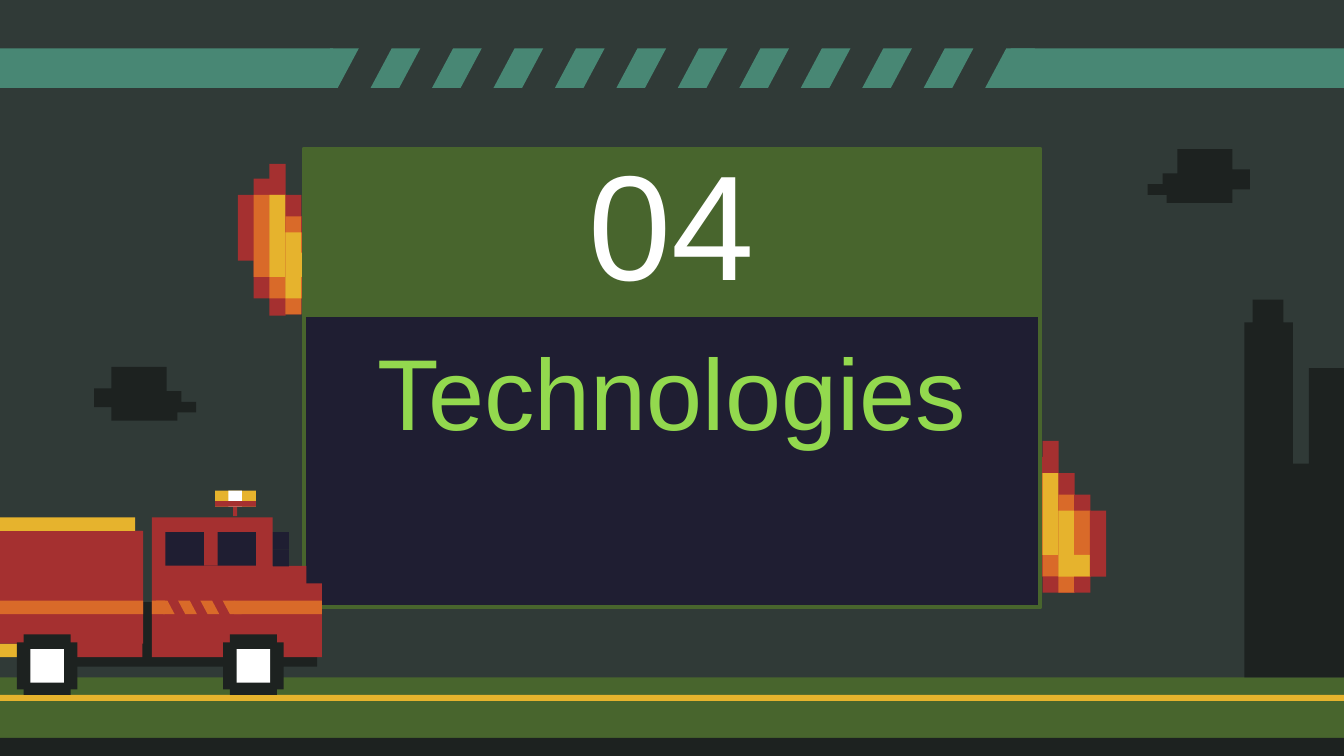
"""Build a pixel-art section slide; lengths are cells of a 1000 by 562.5 grid."""
import pptx
import pptx.dml.color
import pptx.enum.shapes
import pptx.enum.text
import pptx.util

CELL = pptx.util.Inches(0.01)
COLUMNS, ROWS = 1000, 562.5

SLATE, SOOT, NIGHT, WHITE = "303A37", "1D2220", "1F1E32", "FFFFFF"
OLIVE, LIME, TEAL = "48652D", "93D94E", "488774"
RED, ORANGE, YELLOW = "A53030", "D96A29", "E6B32D"

RECTANGLE = pptx.enum.shapes.MSO_SHAPE.RECTANGLE
PARALLELOGRAM = pptx.enum.shapes.MSO_SHAPE.PARALLELOGRAM

LEFT_FLAME = [
    [(145, 194)],
    [(133, 222), (145, 206)],
    [(122, 235), (145, 222), (145, 206)],
    [(145, 234), (161, 234), (173, 222)],
    [(161, 222), (173, 222), (188, 206)],
]
RIGHT_FLAME = [
    [(340, 429), (352, 413)],
    [(328, 441), (352, 429), (352, 413)],
    [(352, 441), (368, 441), (380, 429)],
    [(368, 441), (380, 429), (413, 429)],
    [(380, 429)],
]
FLAME_COLUMN = 11.75

TOWERS = [(932, 223), (932, 240), (926, 240), (926, 504), (1000, 504), (1000, 274),
          (974, 274), (974, 345), (962, 345), (962, 240), (955, 240), (955, 223)]
RIGHT_CLOUD = [(876, 111), (876, 129), (865, 129), (865, 137), (854, 137), (854, 145),
               (868, 145), (868, 151), (917, 151), (917, 141), (930, 141), (930, 126),
               (917, 126), (917, 111)]
LEFT_CLOUD = [(83, 273), (83, 289), (70, 289), (70, 303), (83, 303), (83, 313),
              (132, 313), (132, 307), (146, 307), (146, 299), (135, 299), (135, 291),
              (124, 291), (124, 273)]

TRUCK_BODY = [
    (SOOT, 38, 448, 198, 48),
    (YELLOW, 0, 479, 32, 10),
    (RED, 0, 395, 106.5, 84),
    (RED, 38, 395, 68, 94),
    (RED, 113, 385, 90, 104),
    (RED, 190, 434, 49.5, 55),
    (NIGHT, 203, 396, 12, 13),
    (RED, 200, 421, 28, 15),
    (NIGHT, 203, 409, 12, 12.5),
]
TRUCK_SIREN = [
    (RED, 173.5, 369, 3, 15),
    (YELLOW, 160, 365, 30.5, 12),
    (WHITE, 170, 365, 10, 12),
    (RED, 160, 373, 30.5, 4),
]
TRUCK_TRIM = [
    (ORANGE, 113, 447, 10, 10),
    (ORANGE, 174, 447, 65.5, 10),
    (NIGHT, 123, 396, 67.5, 25),
    (RED, 152, 396, 10, 25),
    (ORANGE, 0, 447, 106.5, 10),
    (YELLOW, 0, 385, 100.5, 10),
]


def cells(*lengths):
    """Convert grid cells to slide lengths."""
    return [round(length * CELL) for length in lengths]


def colour(hex_string):
    """Return the colour of a hex string."""
    return pptx.dml.color.RGBColor.from_string(hex_string)


def paint(shape, fill):
    """Give a shape a plain fill without outline or shadow."""
    shape.shadow.inherit = False
    shape.fill.solid()
    shape.fill.fore_color.rgb = colour(fill)
    shape.line.fill.background()
    return shape


def add_block(shapes, fill, left, top, width, height):
    """Add a plain rectangle."""
    return paint(shapes.add_shape(RECTANGLE, *cells(left, top, width, height)), fill)


def add_blocks(shapes, blocks):
    """Add several plain rectangles from back to front."""
    for block in blocks:
        add_block(shapes, *block)


def add_slant(shapes, fill, left, top, width, height, flipped=False):
    """Add a slanted stripe, leaning backwards when flipped."""
    shape = paint(shapes.add_shape(PARALLELOGRAM, *cells(left, top, width, height)), fill)
    shape.adjustments[0] = 0.533
    if flipped:
        shape.element.spPr.xfrm.set("flipH", "1")


def add_silhouette(shapes, points):
    """Add a dark closed outline."""
    builder = shapes.build_freeform(*points[0], scale=float(CELL))
    builder.add_line_segments(points[1:], close=True)
    paint(builder.convert_to_shape(), SOOT)


def add_panel(shapes, fill, left, top, width, height):
    """Add a rectangle with the olive frame."""
    shape = add_block(shapes, fill, left, top, width, height)
    shape.line.color.rgb = colour(OLIVE)
    shape.line.width = pptx.util.Pt(2.25)
    return shape


def write(shape, text, size, hex_string, insets, line_spacing=1.0):
    """Write one centred line into a shape."""
    frame = shape.text_frame
    frame.word_wrap = True
    frame.vertical_anchor = pptx.enum.text.MSO_ANCHOR.MIDDLE
    frame.margin_left, frame.margin_top, frame.margin_right, frame.margin_bottom = cells(*insets)
    paragraph = frame.paragraphs[0]
    paragraph.alignment = pptx.enum.text.PP_ALIGN.CENTER
    paragraph.line_spacing = line_spacing
    run = paragraph.add_run()
    run.text = text
    run.font.name = "Arial"
    run.font.size = pptx.util.Pt(size)
    run.font.color.rgb = colour(hex_string)


def add_road(shapes):
    """Add the ground with its kerb and yellow line."""
    add_blocks(shapes, [
        (OLIVE, 0, 504, COLUMNS, ROWS - 504),
        (SOOT, 0, 549, COLUMNS, ROWS - 549),
        (YELLOW, 0, 517, COLUMNS, 4.5),
    ])


def add_barrier(shapes):
    """Add the striped band between two solid ends."""
    for index in range(12):
        add_slant(shapes, TEAL, 230 + 45.73 * index, 36, 37, 29.5)
    for left in (0, COLUMNS - 248):
        add_block(shapes, TEAL, left, 36, 248, 29.5)


def add_flame(shapes, left, columns):
    """Add a flame of columns, each layered in red, orange and yellow."""
    for index, bands in enumerate(columns):
        for fill, (top, bottom) in zip((RED, ORANGE, YELLOW), bands):
            add_block(shapes, fill, left + FLAME_COLUMN * index, top, 12, bottom - top)


def add_wheel(shapes, left):
    """Add a wheel with a white hub."""
    add_blocks(shapes, [
        (SOOT, left + 5, 472, 35, 45),
        (SOOT, left, 478, 45, 35),
        (WHITE, left + 10, 483, 25, 25),
    ])


def add_truck(shapes):
    """Add the fire truck."""
    add_blocks(shapes, TRUCK_BODY + TRUCK_SIREN)
    for left in (12.5, 166):
        add_wheel(shapes, left)
    for index in reversed(range(4)):
        add_slant(shapes, ORANGE, 116 + 16.6 * index, 447, 14, 10, flipped=True)
    add_blocks(shapes, TRUCK_TRIM)


def add_sign(shapes):
    """Add the section panel with its title and number."""
    add_panel(shapes, NIGHT, 226, 111, 548, 341)
    title = shapes.add_textbox(*cells(250, 255.5, 500, 87))
    write(title, "Technologies", 54, LIME, (10, 10, 10, 10), 0.8)
    number = add_panel(shapes, OLIVE, 226, 111, 548, 123.5)
    write(number, "04", 80, WHITE, (10, 0, 10, 16.5))


def main():
    """Build and save the slide."""
    presentation = pptx.Presentation()
    presentation.slide_width, presentation.slide_height = cells(COLUMNS, ROWS)
    slide = presentation.slides.add_slide(presentation.slide_layouts[6])
    slide.background.fill.solid()
    slide.background.fill.fore_color.rgb = colour(SLATE)
    shapes = slide.shapes
    add_road(shapes.add_group_shape().shapes)
    add_barrier(shapes.add_group_shape().shapes)
    add_flame(shapes.add_group_shape().shapes, 764, RIGHT_FLAME)
    add_flame(shapes.add_group_shape().shapes, 177, LEFT_FLAME)
    add_sign(shapes)
    for points in (TOWERS, RIGHT_CLOUD, LEFT_CLOUD):
        add_silhouette(shapes, points)
    add_truck(shapes.add_group_shape().shapes)
    presentation.save("out.pptx")


if __name__ == "__main__":
    main()
